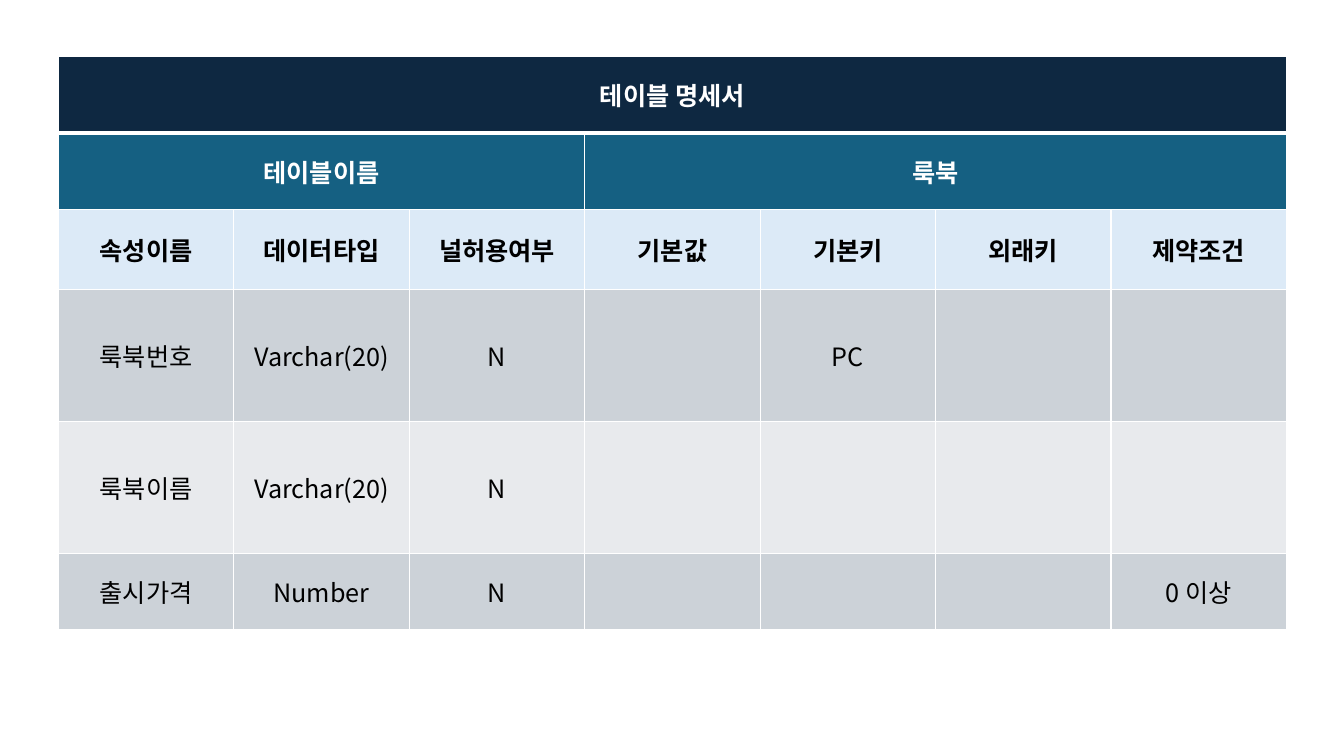
from lxml.etree import SubElement
from pptx import Presentation
from pptx.dml.color import RGBColor
from pptx.enum.text import MSO_ANCHOR, PP_ALIGN
from pptx.oxml import parse_xml
from pptx.oxml.ns import nsdecls, qn
from pptx.util import Inches, Pt

FONT = "Noto Sans CJK KR"
LEFT, TOP, COLUMN_WIDTH = 0.58, 0.56, 1.74
COLUMN_COUNT = 7
ROWS = [
    {"height": 0.76, "fill": "0E2841", "color": "FFFFFF", "bold": True, "rule": 3,
     "spans": [7], "texts": ["테이블 명세서"]},
    {"height": 0.76, "fill": "156082", "color": "FFFFFF", "bold": True,
     "spans": [3, 4], "texts": ["테이블이름", "룩북"]},
    {"height": 0.79, "fill": "DCEAF7", "color": "000000", "bold": True,
     "texts": ["속성이름", "데이터타입", "널허용여부", "기본값", "기본키", "외래키", "제약조건"]},
    {"height": 1.31, "fill": "CCD2D8", "color": "000000", "bold": False,
     "texts": ["룩북번호", "Varchar(20)", "N", "", "PC", "", ""]},
    {"height": 1.31, "fill": "E8EAED", "color": "000000", "bold": False,
     "texts": ["룩북이름", "Varchar(20)", "N", "", "", "", ""]},
    {"height": 0.76, "fill": "CCD2D8", "color": "000000", "bold": False,
     "texts": ["출시가격", "Number", "N", "", "", "", "0 이상"]},
]


def paint(fill, color):
    fill.solid()
    fill.fore_color.rgb = RGBColor.from_string(color)


def add_borders(cell, widths):
    properties = cell._tc.get_or_add_tcPr()
    for position, (side, width) in enumerate(zip("LRTB", widths)):
        properties.insert(position, parse_xml(
            f'<a:ln{side} {nsdecls("a")} w="{Pt(width)}"><a:solidFill>'
            f'<a:srgbClr val="FFFFFF"/></a:solidFill></a:ln{side}>'))


def write(cell, text, color, bold):
    cell.vertical_anchor = MSO_ANCHOR.MIDDLE
    paragraph = cell.text_frame.paragraphs[0]
    paragraph.alignment = PP_ALIGN.CENTER
    run = paragraph.add_run()
    run.text = text
    run.font.size = Pt(18)
    run.font.bold = bold
    run.font.name = FONT
    paint(run.font.fill, color)
    SubElement(run.font._element, qn("a:ea")).set("typeface", FONT)


presentation = Presentation()
presentation.slide_width = Inches(13.33)
presentation.slide_height = Inches(7.5)
slide = presentation.slides.add_slide(presentation.slide_layouts[6])

specification = slide.shapes.add_table(
    len(ROWS), COLUMN_COUNT, Inches(LEFT), Inches(TOP),
    Inches(COLUMN_WIDTH * COLUMN_COUNT), Inches(sum(row["height"] for row in ROWS))).table
for column in specification.columns:
    column.width = Inches(COLUMN_WIDTH)

rule_above = 1
for row_index, row in enumerate(ROWS):
    specification.rows[row_index].height = Inches(row["height"])
    rule_below = row.get("rule", 1)
    for column_index in range(COLUMN_COUNT):
        cell = specification.cell(row_index, column_index)
        paint(cell.fill, row["fill"])
        add_borders(cell, (1, 1, rule_above, rule_below))
    rule_above = rule_below

    start = 0
    for span, text in zip(row.get("spans", [1] * COLUMN_COUNT), row["texts"]):
        cell = specification.cell(row_index, start)
        if span > 1:
            cell.merge(specification.cell(row_index, start + span - 1))
        if text:
            write(cell, text, row["color"], row["bold"])
        start += span

presentation.save("out.pptx")
